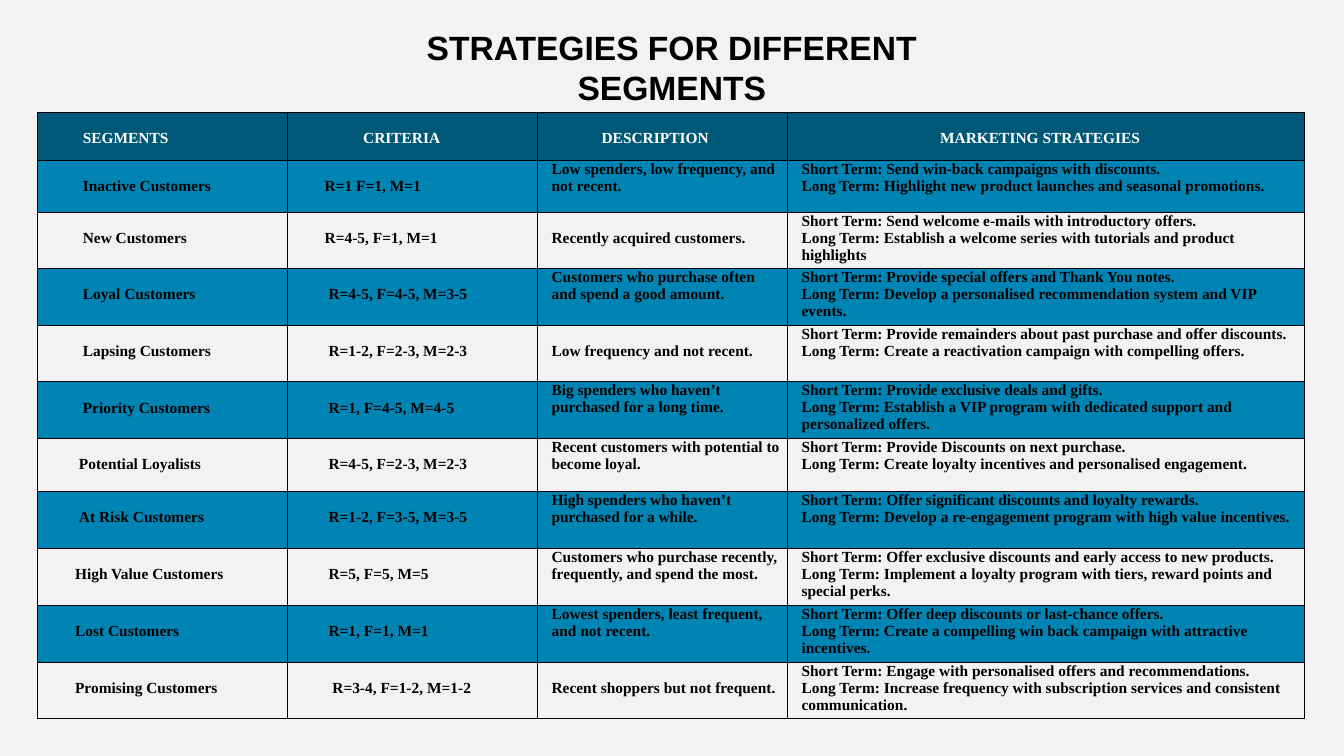
from lxml.etree import SubElement
from pptx import Presentation
from pptx.dml.color import RGBColor
from pptx.enum.text import MSO_ANCHOR as Anchor, MSO_AUTO_SIZE as AutoSize, PP_ALIGN as Align
from pptx.oxml.ns import qn
from pptx.util import Cm, Pt

BACKGROUND, HEADER, BAND = "F2F2F2", "005878", "0084B4"
BORDER, BLACK, WHITE = "000008", "000000", "FFFFFF"
INSET, INDENT_STEP, LINE_DROP = 0.36, 0.097, 0.44
ONE_LINE_DESCRIPTION = 35

COLUMN_WIDTHS = [6.29, 6.3, 6.3, 13.03]
ROW_HEIGHTS = [1.21, 1.31, 1.42, 1.43, 1.42, 1.43, 1.34, 1.43, 1.44, 1.43, 1.42]
HEADINGS = [("SEGMENTS", 8), ("CRITERIA", 16), ("DESCRIPTION", 13), ("MARKETING STRATEGIES", 36)]
SEGMENTS = [
    ("Inactive Customers", 8, "R=1 F=1, M=1", 6,
     "Low spenders, low frequency, and not recent.",
     "Send win-back campaigns with discounts.",
     "Highlight new product launches and seasonal promotions."),
    ("New Customers", 8, "R=4-5, F=1, M=1", 6,
     "Recently acquired customers.",
     "Send welcome e-mails with introductory offers.",
     "Establish a welcome series with tutorials and product highlights"),
    ("Loyal Customers", 8, "R=4-5, F=4-5, M=3-5", 7,
     "Customers who purchase often and spend a good amount.",
     "Provide special offers and Thank You notes.",
     "Develop a personalised recommendation system and VIP events."),
    ("Lapsing Customers", 8, "R=1-2, F=2-3, M=2-3", 7,
     "Low frequency and not recent.",
     "Provide remainders about past purchase and offer discounts.",
     "Create a reactivation campaign with compelling offers."),
    ("Priority Customers", 8, "R=1, F=4-5, M=4-5", 7,
     "Big spenders who haven’t purchased for a long time.",
     "Provide exclusive deals and gifts.",
     "Establish a VIP program with dedicated support and personalized offers."),
    ("Potential Loyalists", 7, "R=4-5, F=2-3, M=2-3", 7,
     "Recent customers with potential to become loyal.",
     "Provide Discounts on next purchase.",
     "Create loyalty incentives and personalised engagement."),
    ("At Risk Customers", 7, "R=1-2, F=3-5, M=3-5", 7,
     "High spenders who haven’t purchased for a while.",
     "Offer significant discounts and loyalty rewards.",
     "Develop a re-engagement program with high value incentives."),
    ("High Value Customers", 6, "R=5, F=5, M=5", 7,
     "Customers who purchase recently, frequently, and spend the most.",
     "Offer exclusive discounts and early access to new products.",
     "Implement a loyalty program with tiers, reward points and special perks."),
    ("Lost Customers", 6, "R=1, F=1, M=1", 7,
     "Lowest spenders, least frequent, and not recent.",
     "Offer deep discounts or last-chance offers.",
     "Create a compelling win back campaign with attractive incentives."),
    ("Promising Customers", 6, "R=3-4, F=1-2, M=1-2", 8,
     "Recent shoppers but not frequent.",
     "Engage with personalised offers and recommendations.",
     "Increase frequency with subscription services and consistent communication."),
]


def rgb(color):
    return RGBColor.from_string(color)


def style_font(paragraph, name, size, color):
    font = paragraph.font
    font.name, font.size, font.bold = name, Pt(size), True
    font.color.rgb = rgb(color)


def add_title(slide, text):
    title = slide.shapes.title
    title.left, title.top, title.width, title.height = Cm(8.46), Cm(0.53), Cm(16.94), Cm(2.31)
    frame = title.text_frame
    frame.text = text
    frame.word_wrap = True
    frame.auto_size = AutoSize.NONE
    frame.vertical_anchor = Anchor.MIDDLE
    heading = frame.paragraphs[0]
    heading.alignment = Align.CENTER
    style_font(heading, "Arial", 24, BLACK)


def add_borders(cell):
    properties = cell._tc.get_or_add_tcPr()
    for side in ("a:lnL", "a:lnR", "a:lnT", "a:lnB"):
        line = SubElement(properties, qn(side), w=str(Pt(1)))
        SubElement(SubElement(line, qn("a:solidFill")), qn("a:srgbClr"), val=BORDER)


def fill_cell(cell, text, fill, color=BLACK, indent=0, lowered=False):
    add_borders(cell)
    if fill:
        cell.fill.solid()
        cell.fill.fore_color.rgb = rgb(fill)
    else:
        cell.fill.background()
    cell.margin_left = Cm(INSET + indent * INDENT_STEP)
    cell.margin_right = Cm(0.18)
    cell.margin_top = Cm(LINE_DROP if lowered else 0)
    cell.margin_bottom = Cm(0)
    cell.text_frame.text = text
    for paragraph in cell.text_frame.paragraphs:
        style_font(paragraph, "Times New Roman", 11, color)


def add_strategy_table(slide):
    table = slide.shapes.add_table(
        len(ROW_HEIGHTS), len(COLUMN_WIDTHS), Cm(0.95), Cm(2.83),
        Cm(sum(COLUMN_WIDTHS)), Cm(sum(ROW_HEIGHTS))).table
    table.first_row = table.horz_banding = False
    for column, width in zip(table.columns, COLUMN_WIDTHS):
        column.width = Cm(width)
    for row, height in zip(table.rows, ROW_HEIGHTS):
        row.height = Cm(height)

    for column, (heading, indent) in enumerate(HEADINGS):
        fill_cell(table.cell(0, column), heading, HEADER, WHITE, indent, lowered=True)

    for number, segment in enumerate(SEGMENTS, start=1):
        name, name_indent, criteria, criteria_indent, description, short_term, long_term = segment
        fill = BAND if number % 2 else None
        fill_cell(table.cell(number, 0), name, fill, indent=name_indent, lowered=True)
        fill_cell(table.cell(number, 1), criteria, fill, indent=criteria_indent, lowered=True)
        fill_cell(table.cell(number, 2), description, fill,
                  lowered=len(description) < ONE_LINE_DESCRIPTION)
        fill_cell(table.cell(number, 3),
                  f"Short Term: {short_term}\nLong Term: {long_term}", fill)


def main():
    deck = Presentation()
    deck.slide_width, deck.slide_height = Cm(33.87), Cm(19.05)
    slide = deck.slides.add_slide(deck.slide_layouts[5])
    slide.background.fill.solid()
    slide.background.fill.fore_color.rgb = rgb(BACKGROUND)
    add_strategy_table(slide)
    add_title(slide, "STRATEGIES FOR DIFFERENT SEGMENTS")
    deck.save("out.pptx")


if __name__ == "__main__":
    main()
